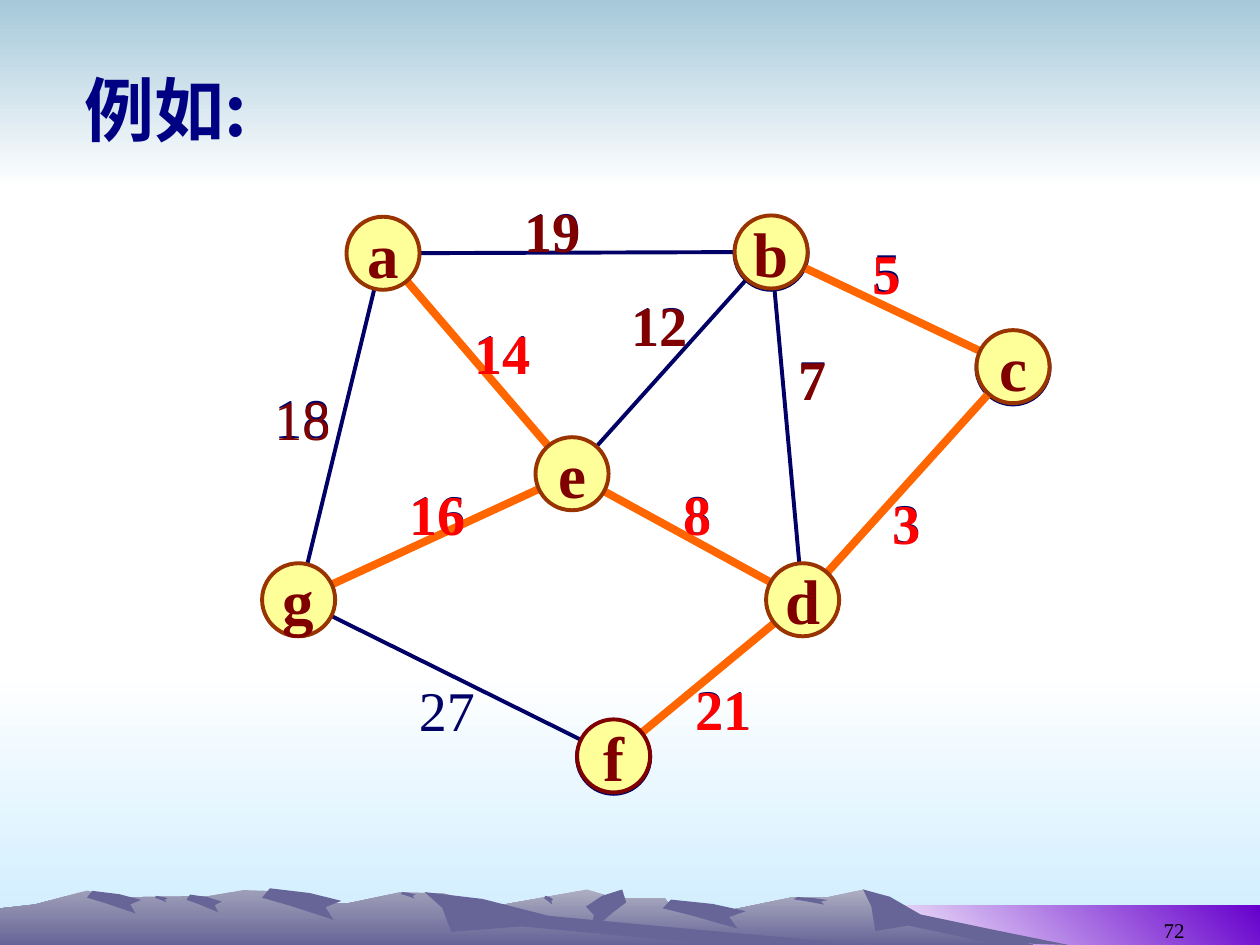
from math import hypot
from typing import NamedTuple

from lxml import etree
from pptx import Presentation
from pptx.dml.color import RGBColor
from pptx.enum.shapes import MSO_CONNECTOR, MSO_SHAPE
from pptx.enum.text import MSO_ANCHOR, MSO_AUTO_SIZE, PP_ALIGN
from pptx.oxml.ns import qn
from pptx.util import Inches, Pt

STRAIGHT, OVAL, RECTANGLE = MSO_CONNECTOR.STRAIGHT, MSO_SHAPE.OVAL, MSO_SHAPE.RECTANGLE
TOP, MIDDLE, BOTTOM = MSO_ANCHOR.TOP, MSO_ANCHOR.MIDDLE, MSO_ANCHOR.BOTTOM
LEFT, CENTER, RIGHT = PP_ALIGN.LEFT, PP_ALIGN.CENTER, PP_ALIGN.RIGHT
FIT_SHAPE, NO_FIT = MSO_AUTO_SIZE.SHAPE_TO_FIT_TEXT, MSO_AUTO_SIZE.NONE

SERIF, SANS = "Times New Roman", "Noto Sans CJK SC"
COLORS = {
    "white": "FFFFFF", "ice": "CCECFF", "sky": "A6C9DA", "purple": "6600CC",
    "ridge": "AEAEC2", "slope": "9F9EB8", "rock": "676597", "black": "000000",
    "title": "000082", "navy": "000066", "mint": "CCFFCC", "cream": "FFFF99",
    "brown": "993300", "maroon": "800000", "orange": "FF6600", "red": "FF0000",
}

NODE_SIZE = 0.58
LAYER_SHIFT = 0.01
THIN, THICK = 2.25, 4.5
NODES = {"a": (0.67, 0.01), "b": (3.75, 0), "c": (5.67, 0.91), "d": (4, 2.76),
         "e": (2.17, 1.76), "f": (2.5, 4), "g": (0, 2.76)}


class Edge(NamedTuple):
    """Two nodes, a weight, the weight's offset from the midpoint, and tree membership."""
    ends: str
    weight: int
    offset: tuple
    in_tree: bool = False


EDGES = [
    Edge("ab", 19, (-0.19, -0.19)),
    Edge("ag", 18, (-0.3, -0.08)),
    Edge("be", 12, (-0.09, -0.32)),
    Edge("bd", 7, (0.2, -0.39)),
    Edge("gf", 27, (-0.07, 0.25)),
    Edge("ae", 14, (0.2, -0.1), True),
    Edge("ge", 16, (0.02, -0.2), True),
    Edge("ed", 8, (0.08, -0.2), True),
    Edge("bc", 5, (-0.04, -0.31), True),
    Edge("cd", 3, (-0.01, 0.3), True),
    Edge("df", 21, (0.13, 0.23), True),
]
UNMARKED_WEIGHT, LIGHT_WEIGHT = 27, 18

RIGHT_CREST = [(0, 1), (0.12, 0.57), (0.24, 0.3), (0.31, 0.14), (0.37, 0), (0.41, 0.16),
               (0.48, 0.16), (0.49, 0.34), (0.55, 0.43), (0.66, 0.14), (0.71, 0.14),
               (0.76, 0), (0.79, 0.14), (0.83, 0.43), (0.9, 0.73), (1, 1)]
LEFT_CREST = [(0, 1), (0, 0.34), (0.04, 0.27), (0.1, 0.02), (0.14, 0.14), (0.24, 0.12),
              (0.28, 0.01), (0.32, 0.03), (0.34, 0.25), (0.4, 0.25), (0.46, 0.05),
              (0.51, 0.07), (0.63, 0.59), (1, 1)]
SPUR = [(0.1, 0), (0, 0.3), (0.35, 0.55), (0.9, 1), (0.8, 0.6), (1, 0.4), (0.6, 0.15)]
MIRRORED_SPUR = [(1 - x, y) for x, y in SPUR]
FLANK = [(0, 0), (0.04, 0.3), (0.06, 0.75), (0.22, 0.65), (0.6, 0.95), (1, 1),
         (0.6, 0.7), (0.28, 0.45), (0.13, 0.13)]
RIGHT_SHADOWS = [
    (FLANK, (6.85, 7.06, 1.63, 0.44)), (MIRRORED_SPUR, (4.65, 7.06, 0.32, 0.34)),
    (SPUR, (5.26, 7.14, 0.66, 0.23)), (SPUR, (6.3, 7.12, 0.27, 0.06)),
    (SPUR, (4.32, 7.11, 0.07, 0.07))]
LEFT_SHADOWS = [
    (SPUR, (2.08, 7.05, 0.63, 0.25)), (FLANK, (3.37, 7.08, 3.53, 0.42)),
    (SPUR, (3.18, 7.08, 0.12, 0.05)), (SPUR, (1.48, 7.1, 0.28, 0.14)),
    (SPUR, (1.23, 7.11, 0.1, 0.05)), (SPUR, (0.69, 7.07, 0.43, 0.18))]


def rgb(name):
    """Return the named colour."""
    return RGBColor.from_string(COLORS[name])


def write(shape, text, color, size, bold=False, font=SERIF, align=LEFT, anchor=TOP,
          wrap=False, fit=NO_FIT):
    """Put one formatted line of text into a shape."""
    frame = shape.text_frame
    for key, value in {"word_wrap": wrap, "auto_size": fit, "vertical_anchor": anchor}.items():
        setattr(frame, key, value)
    para = frame.paragraphs[0]
    para.alignment = align
    span = para.add_run()
    span.text = text
    for key, value in {"size": Pt(size), "bold": bold, "name": font}.items():
        setattr(span.font, key, value)
    span.font.color.rgb = rgb(color)
    etree.SubElement(span._r.get_or_add_rPr(), qn("a:ea")).set("typeface", font)


def paint(shape, start, end=None, angle=90):
    """Fill a shape with one colour or a clockwise gradient, without outline."""
    shape.shadow.inherit = False
    shape.line.fill.background()
    if end is None:
        shape.fill.solid()
        shape.fill.fore_color.rgb = rgb(start)
        return
    shape.fill.gradient()
    shape.fill.gradient_angle = 360 - angle
    for stop, color, position in zip(shape.fill.gradient_stops, (start, end), (0, 1)):
        stop.color.rgb = rgb(color)
        stop.position = position


def add_band(page, box, start, end, angle=90):
    """Draw a rectangle with a gradient."""
    paint(page.shapes.add_shape(RECTANGLE, *map(Inches, box)), start, end, angle)


def add_outline(page, outline, box):
    """Stretch an outline, given in fractions, over a box."""
    left, top, width, height = box
    corners = [(Inches(left + x * width), Inches(top + y * height)) for x, y in outline]
    builder = page.shapes.build_freeform(*corners[0], scale=1.0)
    builder.add_line_segments(corners[1:], close=True)
    return builder.convert_to_shape()


def add_mountain(page, crest, box, light, shadows):
    """Draw one mountain range and its shadows."""
    paint(add_outline(page, crest, box), light, "rock")
    for outline, shadow_box in shadows:
        paint(add_outline(page, outline, shadow_box), "rock")


def add_title(page, text, box):
    """Place the title above the backdrop."""
    title = page.shapes.title
    page.shapes.element.append(title.element)
    title.left, title.top, title.width, title.height = map(Inches, box)
    write(title, text, "title", 40, True, SANS, fit=FIT_SHAPE)


def add_page_number(page, text, box):
    """Write the page number at the foot."""
    label = page.shapes.add_textbox(*map(Inches, box))
    write(label, text, "black", 12, align=RIGHT, anchor=BOTTOM, wrap=True)


def center(name, origin):
    """Return the centre of a node."""
    return [start + offset + NODE_SIZE / 2 for start, offset in zip(origin, NODES[name])]


def add_edge(page, edge, origin, color, width):
    """Join two nodes from rim to rim."""
    (x1, y1), (x2, y2) = (center(name, origin) for name in edge.ends)
    trim = NODE_SIZE / 2 / hypot(x2 - x1, y2 - y1)
    dx, dy = (x2 - x1) * trim, (y2 - y1) * trim
    ends = (x1 + dx, y1 + dy, x2 - dx, y2 - dy)
    line = page.shapes.add_connector(STRAIGHT, *map(Inches, ends))
    line.line.color.rgb = rgb(color)
    line.line.width = Pt(width)
    etree.SubElement(line.element.spPr, qn("a:effectLst"))


def add_weight(page, edge, origin, color, bold=False):
    """Write a weight beside the midpoint of its edge."""
    text = str(edge.weight)
    width, height = (0.42 if len(text) == 1 else 0.65), 0.63
    middle = [sum(pair) / 2 for pair in zip(*(center(name, origin) for name in edge.ends))]
    left = middle[0] + edge.offset[0] - width / 2
    top = middle[1] + edge.offset[1] - height / 2
    label = page.shapes.add_textbox(*map(Inches, (left, top, width, height)))
    write(label, text, color, 32, bold, fit=FIT_SHAPE)


def add_node(page, name, origin, fill, line, color):
    """Draw a round node with its letter."""
    left, top = (middle - NODE_SIZE / 2 for middle in center(name, origin))
    node = page.shapes.add_shape(OVAL, *map(Inches, (left, top, NODE_SIZE, NODE_SIZE)))
    paint(node, fill)
    node.line.color.rgb = rgb(line)
    node.line.width = Pt(THIN)
    write(node, name, color, 36, True, align=CENTER, anchor=MIDDLE)


def add_graph(page, origin):
    """Draw the whole graph in navy."""
    lowered = (origin[0], origin[1] + LAYER_SHIFT)
    for name in "bcf":
        add_node(page, name, lowered, "mint", "navy", "navy")
    for edge in EDGES:
        add_edge(page, edge, origin, "navy", THIN)
        add_weight(page, edge, origin, "navy")


def add_spanning_tree(page, origin):
    """Draw the chosen edges, the coloured weights and the nodes on top."""
    lowered = (origin[0], origin[1] + LAYER_SHIFT)
    for edge in EDGES:
        if edge.in_tree:
            add_edge(page, edge, origin, "orange", THICK)
    for edge in EDGES:
        if edge.weight != UNMARKED_WEIGHT:
            color = "red" if edge.in_tree else "maroon"
            add_weight(page, edge, lowered, color, edge.weight != LIGHT_WEIGHT)
    for name in NODES:
        add_node(page, name, origin, "cream", "maroon" if name == "f" else "brown", "maroon")


def main():
    """Build and save the deck."""
    deck = Presentation()
    deck.slide_width, deck.slide_height = Inches(10), Inches(7.5)
    page = deck.slides.add_slide(deck.slide_layouts.get_by_name("Title Only"))
    add_band(page, (0, 5.33, 10, 2.17), "white", "ice")
    add_band(page, (0, 0, 10, 1.5), "sky", "white")
    add_band(page, (6.83, 7.19, 3.17, 0.31), "white", "purple", 315)
    add_mountain(page, RIGHT_CREST, (2.58, 7.06, 5.62, 0.44), "ridge", RIGHT_SHADOWS)
    add_mountain(page, LEFT_CREST, (0, 7.06, 6.9, 0.44), "slope", LEFT_SHADOWS)
    add_page_number(page, "72", (7.17, 7.03, 2.33, 0.5))
    graph_origin = (2.08, 1.71)
    add_graph(page, graph_origin)
    add_title(page, "例如:", (0.57, 0.48, 1.6, 0.77))
    add_spanning_tree(page, graph_origin)
    deck.save("out.pptx")


if __name__ == "__main__":
    main()
